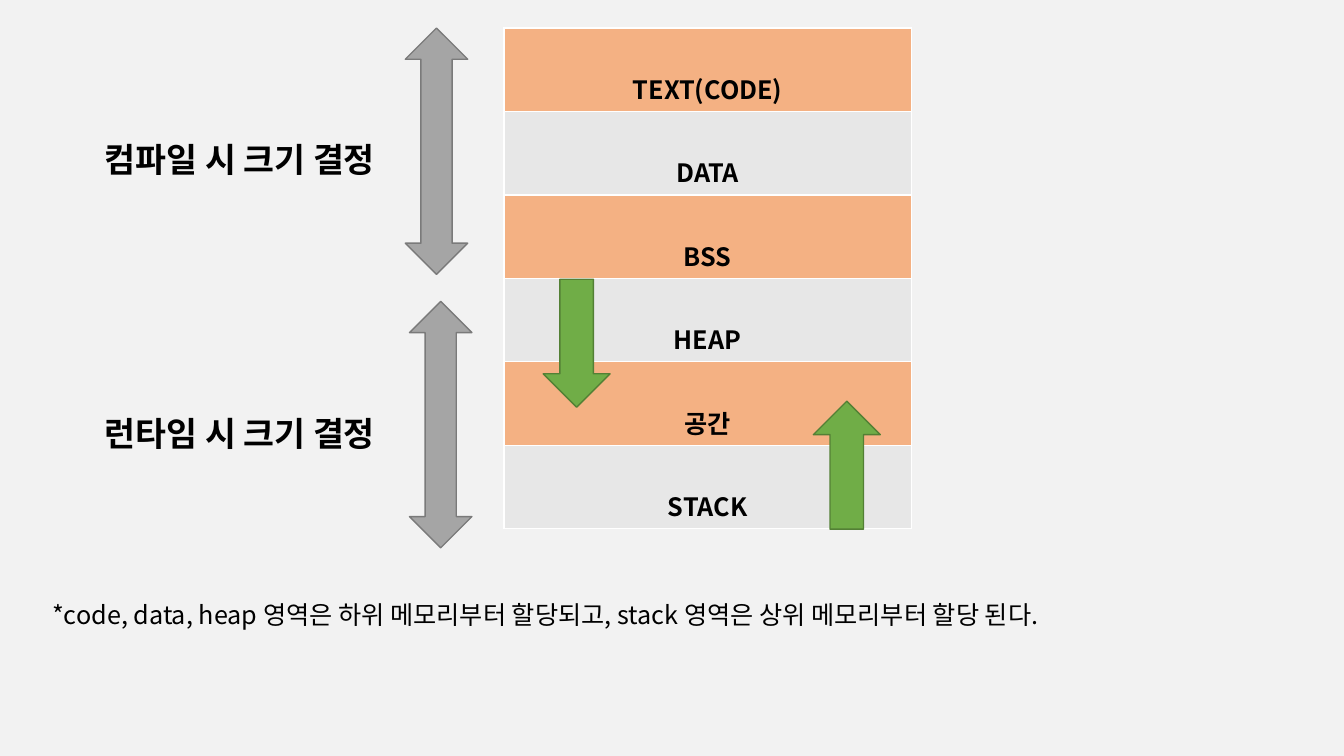
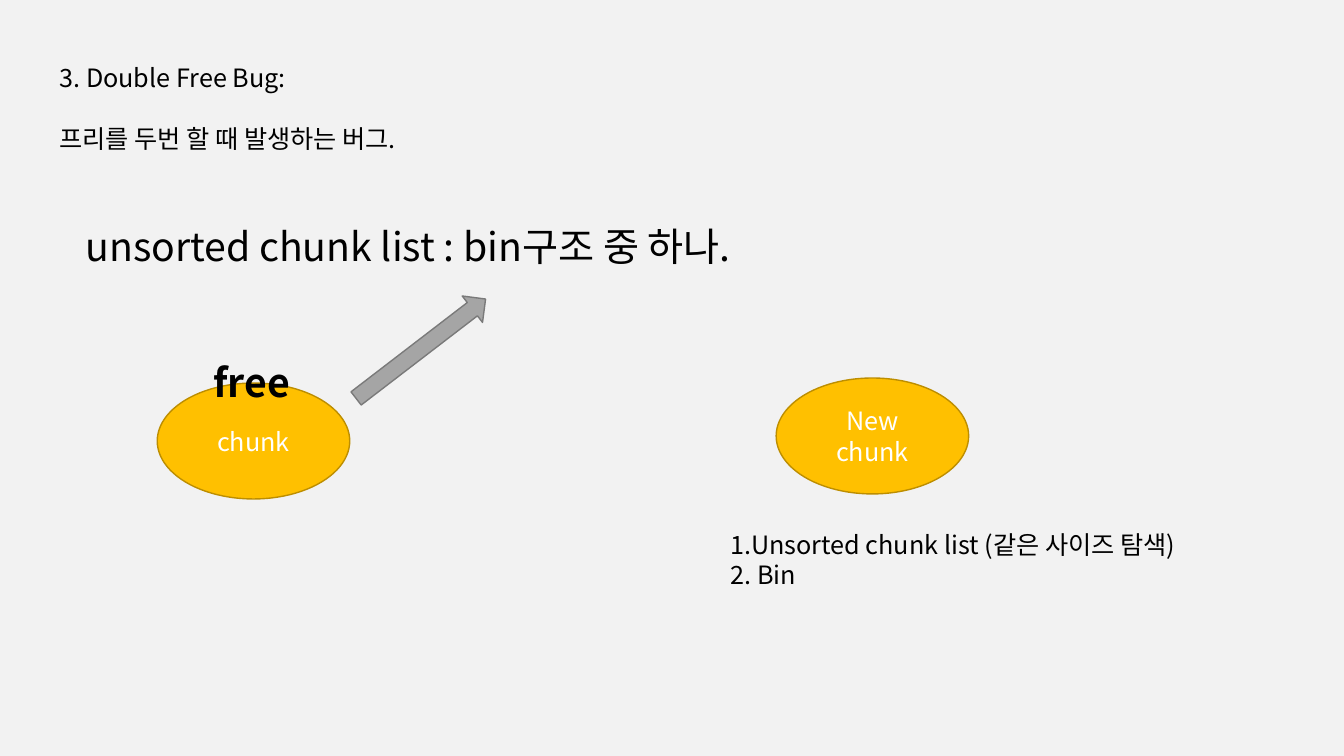
import pptx
import pptx.dml.color
import pptx.enum.shapes
import pptx.enum.text
import pptx.oxml.ns
import pptx.util

Pt = pptx.util.Pt
SHAPE = pptx.enum.shapes.MSO_SHAPE
ANCHOR = pptx.enum.text.MSO_ANCHOR
ALIGN = pptx.enum.text.PP_ALIGN

FONT = "Noto Sans CJK KR"
BACKGROUND, BLACK, WHITE = "F2F2F2", "000000", "FFFFFF"
ORANGE, PALE = "F4B183", "E7E7E7"
GRAY, GREEN, GOLD = ("A5A5A5", "7A7A7A"), ("70AD47", "538035"), ("FFC000", "BD8E00")
SEGMENTS = ["TEXT(CODE)", "DATA", "BSS", "HEAP", "공간", "STACK"]
ROW_HEIGHT = 59.64


def rgb(code):
    """Return the colour for a hex string."""
    return pptx.dml.color.RGBColor.from_string(code)


def paint(target, code):
    """Give a shape, cell or background a solid fill."""
    target.fill.solid()
    target.fill.fore_color.rgb = rgb(code)


def write(frame, lines, size=18, bold=False, color=BLACK, align=ALIGN.LEFT, anchor=ANCHOR.TOP):
    """Write each line as one formatted paragraph."""
    frame.word_wrap = True
    frame.vertical_anchor = anchor
    for index, line in enumerate(lines):
        paragraph = frame.add_paragraph() if index else frame.paragraphs[0]
        paragraph.alignment = align
        paragraph.space_before = Pt(0)
        run = paragraph.add_run()
        run.text = line
        run.font.name = FONT
        run.font.size = Pt(size)
        run.font.bold = bold
        run.font.color.rgb = rgb(color)


def add_label(slide, box, line, size=18, bold=False):
    """Add a text box with one line."""
    label = slide.shapes.add_textbox(*map(Pt, box))
    write(label.text_frame, [line], size, bold)


def fill_placeholder(placeholder, box, lines):
    """Move a placeholder and fill it with plain unbulleted lines."""
    placeholder.left, placeholder.top, placeholder.width, placeholder.height = map(Pt, box)
    placeholder.text_frame.auto_size = pptx.enum.text.MSO_AUTO_SIZE.NONE
    write(placeholder.text_frame, lines)
    for paragraph in placeholder.text_frame.paragraphs:
        properties = paragraph._p.get_or_add_pPr()
        properties.set("marL", "0")
        properties.set("indent", "0")
        properties.append(pptx.oxml.parse_xml(f"<a:buNone {pptx.oxml.ns.nsdecls('a')}/>"))


def add_figure(slide, kind, box, colors, rotation=0):
    """Add a preset shape with a fill and a thin outline."""
    figure = slide.shapes.add_shape(kind, *map(Pt, box))
    figure.shadow.inherit = False
    figure.rotation = rotation
    paint(figure, colors[0])
    figure.line.color.rgb = rgb(colors[1])
    figure.line.width = Pt(1)
    return figure


def add_chunk(slide, left, top, name):
    """Add a named memory chunk as an ellipse."""
    chunk = add_figure(slide, SHAPE.OVAL, (left, top, 137.5, 82.8), GOLD)
    write(chunk.text_frame, [name], color=WHITE, align=ALIGN.CENTER, anchor=ANCHOR.MIDDLE)


def add_memory_map(slide):
    """Add the table of memory segments in alternating colours."""
    box = (360, 20, 291, ROW_HEIGHT * len(SEGMENTS))
    memory = slide.shapes.add_table(len(SEGMENTS), 1, *map(Pt, box)).table
    for index, segment in enumerate(SEGMENTS):
        memory.rows[index].height = Pt(ROW_HEIGHT)
        cell = memory.cell(index, 0)
        paint(cell, PALE if index % 2 else ORANGE)
        write(cell.text_frame, [segment], bold=True, align=ALIGN.CENTER)
        cell.vertical_anchor = ANCHOR.BOTTOM


def build_memory_slide(prs):
    """Build the slide on memory layout and growth."""
    slide = prs.slides.add_slide(prs.slide_layouts[6])
    add_memory_map(slide)
    for phase, left, top in [("컴파일 시 크기 결정", 289.5, 20), ("런타임 시 크기 결정", 292.5, 215.3)]:
        add_figure(slide, SHAPE.UP_DOWN_ARROW, (left, top, 44.6, 176), GRAY)
        add_label(slide, (67.7, top + 76, 279.4, 36), phase, 24, True)
    add_label(slide, (30.2, 424.8, 888, 51),
              "*code, data, heap 영역은 하위 메모리부터 할당되고, stack 영역은 상위 메모리부터 할당 된다.")
    add_figure(slide, SHAPE.UP_ARROW, (581, 286.6, 47.8, 91.4), GREEN)
    add_figure(slide, SHAPE.DOWN_ARROW, (388, 199.5, 47.8, 91.4), GREEN)


def build_bug_slide(prs):
    """Build the slide on the double free bug."""
    slide = prs.slides.add_slide(prs.slide_layouts[1])
    fill_placeholder(slide.shapes.title, (35.3, 41, 480, 29), ["3. Double Free Bug:"])
    add_label(slide, (35.3, 84.2, 480, 29), "프리를 두번 할 때 발생하는 버그.")
    add_label(slide, (54, 155.5, 493, 41), "unsorted chunk list : bin구조 중 하나.", 28)
    add_chunk(slide, 112.3, 273.6, "chunk")
    add_label(slide, (145.4, 252.7, 136.8, 41), "free", 28, True)
    add_chunk(slide, 554.4, 270, "New chunk")
    add_figure(slide, SHAPE.UP_ARROW, (288.7, 190.8, 23.8, 116.6), GRAY, 52.5)
    fill_placeholder(slide.placeholders[1], (514.8, 374.4, 355.7, 51),
                     ["1.Unsorted chunk list (같은 사이즈 탐색)", "2. Bin"])


def main():
    """Build and save the presentation."""
    prs = pptx.Presentation()
    prs.slide_width, prs.slide_height = Pt(960), Pt(540)
    paint(prs.slide_master.background, BACKGROUND)
    build_memory_slide(prs)
    build_bug_slide(prs)
    prs.save("out.pptx")


if __name__ == "__main__":
    main()
